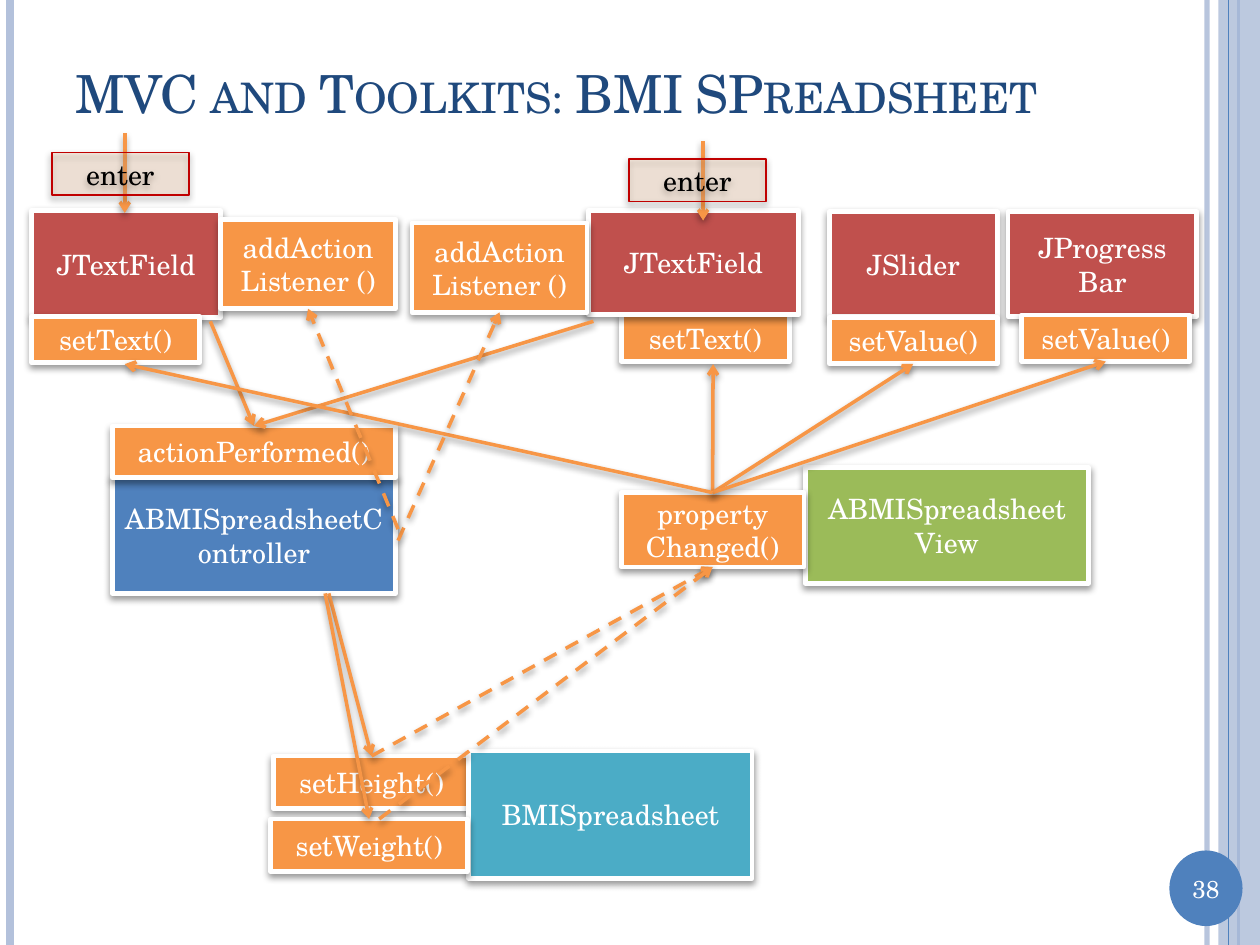
from dataclasses import dataclass

from lxml import etree
from pptx import Presentation
from pptx.dml.color import RGBColor
from pptx.enum.dml import MSO_LINE
from pptx.enum.shapes import MSO_CONNECTOR, MSO_SHAPE
from pptx.enum.text import MSO_ANCHOR, PP_ALIGN
from pptx.oxml.ns import qn
from pptx.util import Pt

RECT, OVAL = MSO_SHAPE.RECTANGLE, MSO_SHAPE.OVAL
STRAIGHT, DASH = MSO_CONNECTOR.STRAIGHT, MSO_LINE.DASH
MIDDLE, CENTER, LEFT = MSO_ANCHOR.MIDDLE, PP_ALIGN.CENTER, PP_ALIGN.LEFT
FONT = "TeX Gyre Schola"
WHITE, BLACK, NAVY, BLUE, PALE = "FFFFFF", "000000", "1F497D", "4F81BD", "B3C1DB"
ORANGE, RED, GREEN, TEAL = "F79646", "C0504D", "9BBB59", "4BACC6"
PEACH, DARK_RED = "FAC090", "C00000"
TOP, BOTTOM = 0, 2
W, H = 720, 540


@dataclass
class Box:
    key: str
    text: str
    fill: str
    at: tuple[float, float]
    size: tuple[float, float]
    line: str = WHITE
    weight: float = 2.75
    color: str = WHITE
    opacity: int = 100


@dataclass
class Joint:
    key: str
    site: int


End = tuple[float, float] | Joint


@dataclass
class Arrow:
    start: End
    end: End
    dashed: bool = False


@dataclass
class Stripe:
    x: float
    color: str
    weight: float
    opacity: int = 100


def rgb(value: str) -> RGBColor:
    return RGBColor.from_string(value)


def set_opacity(parent, percent: int) -> None:
    clr = next(parent.iter(qn("a:srgbClr")))
    etree.SubElement(clr, qn("a:alpha"), val=str(percent * 1000))


def set_effects(sp, shadow: bool = False) -> None:
    effects = etree.SubElement(sp._element.spPr, qn("a:effectLst"))
    if shadow:
        outer = etree.SubElement(effects, qn("a:outerShdw"), blurRad=str(Pt(4)),
                                 dist=str(Pt(2)), dir="5400000", rotWithShape="0")
        etree.SubElement(outer, qn("a:srgbClr"), val=BLACK)
        set_opacity(outer, 40)


def write(sp, text: str, size: float, color: str, align=CENTER):
    tf = sp.text_frame
    tf.word_wrap = True
    tf.vertical_anchor = MIDDLE
    p = tf.paragraphs[0]
    p.alignment = align
    r = p.add_run()
    r.text = text
    for name, value in {"name": FONT, "size": Pt(size)}.items():
        setattr(r.font, name, value)
    r.font.color.rgb = rgb(color)
    return r


def draw_plain(s, kind, fill: str, *frame: float):
    sp = s.shapes.add_shape(kind, *map(Pt, frame))
    sp.shadow.inherit = False
    sp.fill.solid()
    sp.fill.fore_color.rgb = rgb(fill)
    sp.line.fill.background()
    return sp


def draw_line(s, start, end, color: str, weight: float):
    sp = s.shapes.add_connector(STRAIGHT, *map(Pt, (*start, *end)))
    sp.line.color.rgb = rgb(color)
    sp.line.width = Pt(weight)
    return sp


def draw_stripe(s, stripe: Stripe) -> None:
    sp = draw_line(s, (stripe.x, 0), (stripe.x, H), stripe.color, stripe.weight)
    set_opacity(sp.line._ln, stripe.opacity)
    set_effects(sp)


def draw_box(s, box: Box):
    sp = s.shapes.add_shape(RECT, *map(Pt, (*box.at, *box.size)))
    sp.fill.solid()
    sp.fill.fore_color.rgb = rgb(box.fill)
    if box.opacity < 100:
        set_opacity(sp._element.spPr, box.opacity)
    sp.line.color.rgb = rgb(box.line)
    sp.line.width = Pt(box.weight)
    set_effects(sp, shadow=True)
    write(sp, box.text, 16, box.color)
    return sp


def draw_arrow(s, arrow: Arrow, shapes: dict) -> None:
    ends = (arrow.start, arrow.end)
    points = [(0, 0) if isinstance(e, Joint) else e for e in ends]
    sp = draw_line(s, *points, ORANGE, 2)
    for end, connect in zip(ends, (sp.begin_connect, sp.end_connect)):
        if isinstance(end, Joint):
            connect(shapes[end.key], end.site)
    if arrow.dashed:
        sp.line.dash_style = DASH
    etree.SubElement(sp.line._ln, qn("a:tailEnd"), type="arrow")
    set_effects(sp, shadow=True)


SETTER, MODEL_SETTER = (96, 26.6), (112.3, 30.2)
LISTENER, ENTER, ACTOR = (100.1, 51.1), (78.5, 24.5), (162, 66.2)
BOXES = [
    Box("height", "setHeight()", ORANGE, (156.2, 432), MODEL_SETTER),
    Box("model", "BMISpreadsheet", TEAL, (267.8, 429.1), (162, 72.7)),
    Box("controller", "ABMISpreadsheetController", BLUE, (64.1, 272.9), ACTOR),
    Box("performed", "actionPerformed()", ORANGE, (64.1, 243.4), (162, 29.5)),
    Box("text2", "setText()", ORANGE, (355, 180), SETTER),
    Box("weight", "setWeight()", ORANGE, (154.8, 468), MODEL_SETTER),
    Box("field1", "JTextField", RED, (18, 120.2), (108, 61.2)),
    Box("field2", "JTextField", RED, (336.2, 120.2), (120.2, 59.8)),
    Box("view", "ABMISpreadsheet View", GREEN, (460.1, 267.1), ACTOR),
    Box("listener1", "addAction Listener ()", ORANGE, (126, 125.3), LISTENER),
    Box("listener2", "addAction Listener ()", ORANGE, (235.4, 127.4), LISTENER),
    Box("slider", "JSlider", RED, (473.8, 121), (96, 59.8)),
    Box("progress", "JProgress Bar", RED, (576, 121), (108, 59.8)),
    Box("changed", "property Changed()", ORANGE, (355, 281.5), (104.4, 42.5)),
    Box("value1", "setValue()", ORANGE, (473.8, 181.4), SETTER),
    Box("text1", "setText()", ORANGE, (18, 180.7), SETTER),
    Box("value2", "setValue()", ORANGE, (583.9, 180), SETTER),
]
ENTERS = [Box(f"enter{i}", "enter", PEACH, at, ENTER, DARK_RED, 1, BLACK, 23)
          for i, at in enumerate([(29.5, 87.1), (359.3, 90.7)], 1)]
PERFORMED = Joint("performed", TOP)
CHANGED, NOTIFIED = Joint("changed", TOP), Joint("changed", BOTTOM)
ARROWS = [
    Arrow((120.2, 183.6), PERFORMED),
    Arrow((339.1, 183.6), PERFORMED),
    Arrow((187.9, 339.1), Joint("height", TOP)),
    Arrow((185.8, 339.1), Joint("weight", TOP)),
    Arrow((71.3, 76.3), (71.3, 121.7)),
    Arrow((401.8, 80.6), (401.8, 126)),
    Arrow(CHANGED, (407.5, 208.1)),
    Arrow(CHANGED, Joint("value1", BOTTOM)),
    Arrow(CHANGED, Joint("value2", BOTTOM)),
    Arrow(CHANGED, (71.3, 208.1)),
    Arrow(Joint("height", TOP), NOTIFIED, True),
    Arrow((216.7, 468), NOTIFIED, True),
    Arrow((227.5, 308.9), Joint("listener2", BOTTOM), True),
    Arrow((227.5, 302.4), Joint("listener1", BOTTOM), True),
]


def main() -> None:
    prs = Presentation()
    prs.slide_width, prs.slide_height = Pt(W), Pt(H)
    s = prs.slides.add_slide(prs.slide_layouts[6])

    for stripe in (Stripe(689.8, PALE, 3, 93), Stripe(5.8, PALE, 4.5), Stripe(707.8, BLUE, 1.5)):
        draw_stripe(s, stripe)
    band = draw_plain(s, RECT, PALE, 696.2, 0, 23.8, H)
    set_opacity(band._element.spPr, 87)
    draw_stripe(s, Stripe(702, BLUE, 0.75))
    badge = draw_plain(s, OVAL, BLUE, 668.2, 486, 41.8, 43.2)
    for side in ("left", "right", "top", "bottom"):
        setattr(badge.text_frame, f"margin_{side}", Pt(0))
    write(badge, "38", 14, WHITE)

    title = s.shapes.add_textbox(*map(Pt, (36, 21.6, 624.2, 62.6)))
    r = write(title, "MVC and Toolkits: BMI SPreadsheet", 30, NAVY, LEFT)
    r.font._element.set("cap", "small")

    shapes = {box.key: draw_box(s, box) for box in BOXES}
    for arrow in ARROWS:
        draw_arrow(s, arrow, shapes)
    for box in ENTERS:
        draw_box(s, box)
    prs.save("out.pptx")


if __name__ == "__main__":
    main()
